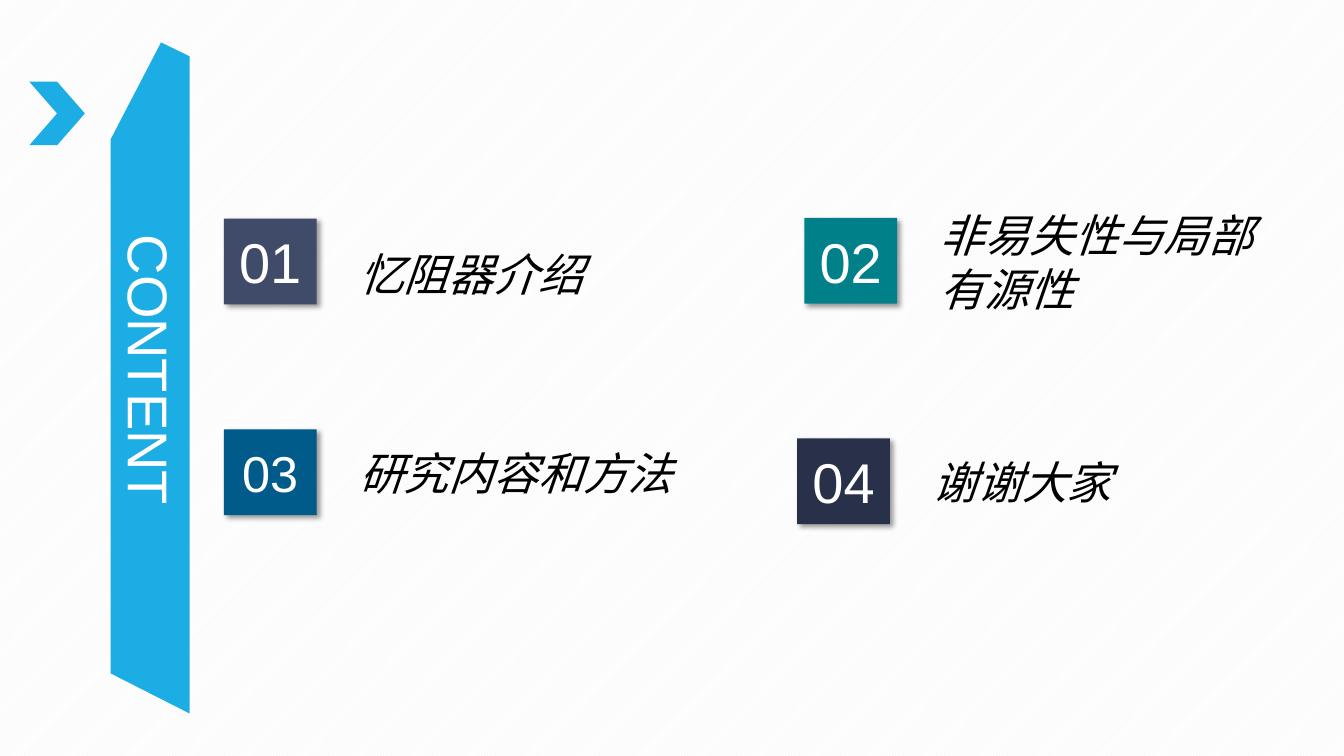
import pptx
import pptx.dml.color
import pptx.enum.dml
import pptx.enum.shapes
import pptx.enum.text
import pptx.oxml
import pptx.oxml.ns
import pptx.util

Cm = pptx.util.Cm
Pt = pptx.util.Pt
Shape = pptx.enum.shapes.MSO_SHAPE
Align = pptx.enum.text.PP_ALIGN

FONT = "Arial"
COLORS = {
    "accent": "1CADE4", "white": "FFFFFF", "black": "000000", "stripe": "F2F2F2",
    "slate": "404B69", "teal": "00818A", "blue": "005B8A", "navy": "283149",
}
TITLE = "CONTENT"
# number, number size, topic, colour, badge left and top, label width and height (cm)
ITEMS = [
    ("01", 40, "忆阻器介绍", "slate", (5.64, 5.51), (9.83, 2.39)),
    ("02", 40, "非易失性与局部有源性", "teal", (20.27, 5.49), (9.47, 1.83)),
    ("03", 36, "研究内容和方法", "blue", (5.64, 10.82), (9.47, 1.83)),
    ("04", 40, "谢谢大家", "navy", (20.09, 11.05), (9.47, 1.83)),
]
BADGE_SIZE = (2.34, 2.16)
LABEL_OFFSET = (3.16, 0.18)
CHEVRON = (0.74, 2.06, 1.4, 1.6)
BAND = [(4.06, 1.07), (4.78, 1.42), (4.78, 17.98), (2.79, 16.97), (2.79, 3.51)]
TITLE_MARGINS = (0.3, 0.25, 0.71, 0.25)


def rgb(name):
    return pptx.dml.color.RGBColor.from_string(COLORS[name])


def paint(shape, color):
    shape.shadow.inherit = False
    shape.fill.solid()
    shape.fill.fore_color.rgb = rgb(color)
    shape.line.fill.background()


def write(shape, text, size, color, align, italic=False):
    frame = shape.text_frame
    frame.text = text
    frame.word_wrap = True
    frame.auto_size = pptx.enum.text.MSO_AUTO_SIZE.NONE
    frame.vertical_anchor = pptx.enum.text.MSO_ANCHOR.MIDDLE
    para = frame.paragraphs[0]
    para.alignment = align
    font = para.runs[0].font
    font.name, font.size, font.italic = FONT, Pt(size), italic
    font.color.rgb = rgb(color)


def drop_shadow(shape):
    """Fill the shape's empty effect list with a soft shadow to the lower right."""
    effects = shape._element.spPr.find(pptx.oxml.ns.qn("a:effectLst"))
    effects.append(pptx.oxml.parse_xml(
        f'<a:outerShdw {pptx.oxml.ns.nsdecls("a")} blurRad="{Pt(4)}" dist="{Pt(3)}"'
        f' dir="2700000" algn="tl" rotWithShape="0"><a:srgbClr val="{COLORS["black"]}">'
        '<a:alpha val="40000"/></a:srgbClr></a:outerShdw>'))


def add_band(page):
    points = [(Cm(x), Cm(y)) for x, y in BAND]
    builder = page.shapes.build_freeform(*points[0])
    builder.add_line_segments(points[1:], close=True)
    band = builder.convert_to_shape()
    paint(band, "accent")
    return band


def place_title(page, band):
    """Turn the title a quarter clockwise so that it covers the band."""
    title = page.shapes.title
    title.width, title.height = band.height, band.width
    title.left = band.left + (band.width - title.width) // 2
    title.top = band.top + (band.height - title.height) // 2
    title.rotation = 90
    write(title, TITLE, 40, "white", Align.CENTER)
    frame = title.text_frame
    frame.margin_left, frame.margin_top, frame.margin_right, frame.margin_bottom = map(
        Cm, TITLE_MARGINS)
    band._element.addnext(title._element)


def add_item(page, number, size, topic, color, corner, label_size):
    badge = page.shapes.add_shape(Shape.RECTANGLE, *map(Cm, corner + BADGE_SIZE))
    paint(badge, color)
    drop_shadow(badge)
    write(badge, number, size, "white", Align.CENTER)
    label_corner = tuple(c + step for c, step in zip(corner, LABEL_OFFSET))
    label = page.shapes.add_textbox(*map(Cm, label_corner + label_size))
    write(label, topic, 32, "black", Align.LEFT, italic=True)


def main():
    deck = pptx.Presentation()
    deck.slide_width, deck.slide_height = Cm(33.87), Cm(19.05)
    page = deck.slides.add_slide(deck.slide_layouts.get_by_name("Title Only"))
    backdrop = page.background.fill
    backdrop.patterned()
    backdrop.pattern = pptx.enum.dml.MSO_PATTERN.LIGHT_UPWARD_DIAGONAL
    backdrop.fore_color.rgb = rgb("stripe")
    backdrop.back_color.rgb = rgb("white")

    chevron = page.shapes.add_shape(Shape.CHEVRON, *map(Cm, CHEVRON))
    paint(chevron, "accent")
    place_title(page, add_band(page))
    for item in ITEMS:
        add_item(page, *item)
    deck.save("out.pptx")


if __name__ == "__main__":
    main()
